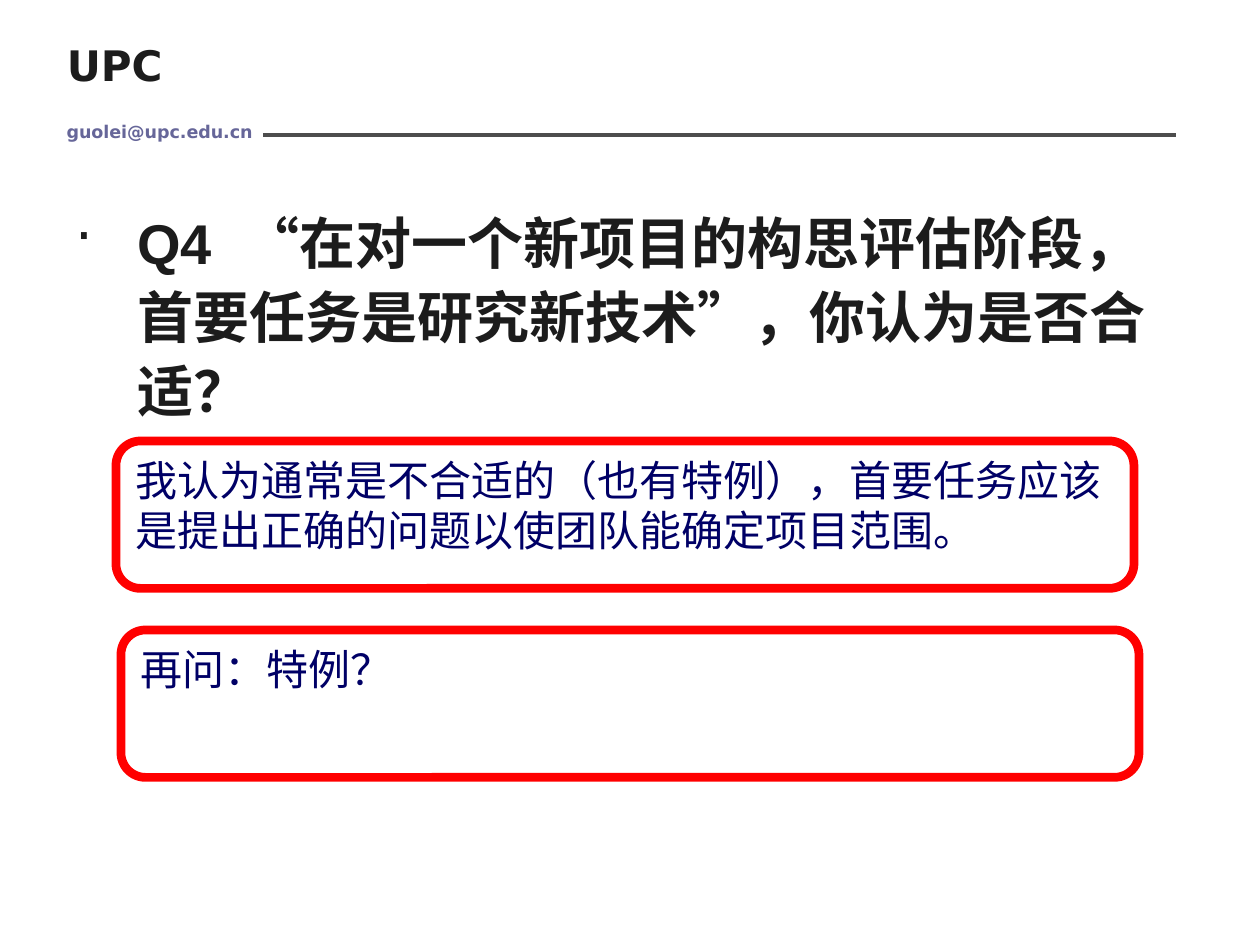
from lxml.etree import SubElement
from pptx import Presentation
from pptx.dml.color import RGBColor
from pptx.enum.shapes import MSO_CONNECTOR, MSO_SHAPE
from pptx.enum.text import MSO_ANCHOR, MSO_AUTO_SIZE, PP_ALIGN
from pptx.oxml.ns import qn
from pptx.util import Inches, Pt

INK, GREY, SLATE, RED, NAVY = "1C1C1C", "4D4D4D", "666699", "FF0000", "000066"
HEADER_FONT, QUESTION_FONT, ANSWER_FONT = "DejaVu Sans", "Arial", "Noto Sans CJK SC"
ANSWERS = [
    (0.92, 3.5, "我认为通常是不合适的（也有特例），首要任务应该是提出正确的问题以使团队能确定项目范围。"),
    (0.96, 5, "再问：特例？"),
]


def color(value):
    return RGBColor.from_string(value)


def write(box, text, font, size, ink, bold=False):
    """Fill a box with one left-aligned paragraph and return that paragraph."""
    frame = box.text_frame
    frame.word_wrap = True
    frame.auto_size = MSO_AUTO_SIZE.NONE
    frame.vertical_anchor = MSO_ANCHOR.TOP
    frame.text = text
    para = frame.paragraphs[0]
    para.alignment = PP_ALIGN.LEFT
    para.space_before = Pt(0)
    para.font.name, para.font.size, para.font.bold = font, Pt(size), bold
    para.font.color.rgb = color(ink)
    return para


def add_header(page, left, top, width):
    title = page.shapes.title
    title.left, title.top = Inches(left), Inches(top)
    title.width, title.height = Inches(1.26), Inches(0.5)
    write(title, "UPC", HEADER_FONT, 24, INK, bold=True)

    email = page.shapes.add_textbox(
        Inches(left), Inches(top + 0.65), Inches(2.45), Inches(0.35))
    write(email, "guolei@upc.edu.cn", HEADER_FONT, 10, SLATE, bold=True)

    rule_y = Inches(top + 0.81)
    rule = page.shapes.add_connector(
        MSO_CONNECTOR.STRAIGHT, Inches(left + 1.66), rule_y, Inches(left + width), rule_y)
    rule.line.color.rgb = color(GREY)
    rule.line.width = Pt(0)
    SubElement(rule._element.spPr, qn("a:effectLst"))


def add_bullet(para, mark, ink, indent):
    """Give a paragraph a coloured bullet with a hanging indent."""
    props = para._p.get_or_add_pPr()
    props.set("marL", str(Inches(indent)))
    props.set("indent", str(-Inches(indent)))
    defaults = props.find(qn("a:defRPr"))
    bullet_color = SubElement(props, qn("a:buClr"))
    SubElement(bullet_color, qn("a:srgbClr"), val=ink)
    SubElement(props, qn("a:buChar"), char=mark)
    props.append(defaults)  # the schema wants the defaults after the bullet


def add_question(page, left, top, width, height):
    box = page.shapes.add_textbox(
        Inches(left), Inches(top), Inches(width), Inches(height))
    para = write(
        box, "Q4  “在对一个新项目的构思评估阶段，首要任务是研究新技术”，你认为是否合适？",
        QUESTION_FONT, 32, INK, bold=True)
    para.line_spacing = 1.1
    add_bullet(para, "·", INK, 0.49)


def add_answer(page, left, top, width, height, text):
    box = page.shapes.add_shape(
        MSO_SHAPE.ROUNDED_RECTANGLE,
        Inches(left), Inches(top), Inches(width), Inches(height))
    box.shadow.inherit = False
    box.fill.background()
    box.line.color.rgb = color(RED)
    box.line.width = Pt(5)
    write(box, text, ANSWER_FONT, 24, NAVY)


def main():
    deck = Presentation()
    deck.slide_width, deck.slide_height = Inches(10), Inches(7.5)
    page = deck.slides.add_slide(deck.slide_layouts.get_by_name("Title Only"))
    add_header(page, 0.43, 0.26, 8.9)
    add_question(page, 0.5, 1.55, 9, 1.95)
    for left, top, text in ANSWERS:
        add_answer(page, left, top, 8.08, 1.17, text)
    deck.save("out.pptx")


if __name__ == "__main__":
    main()
